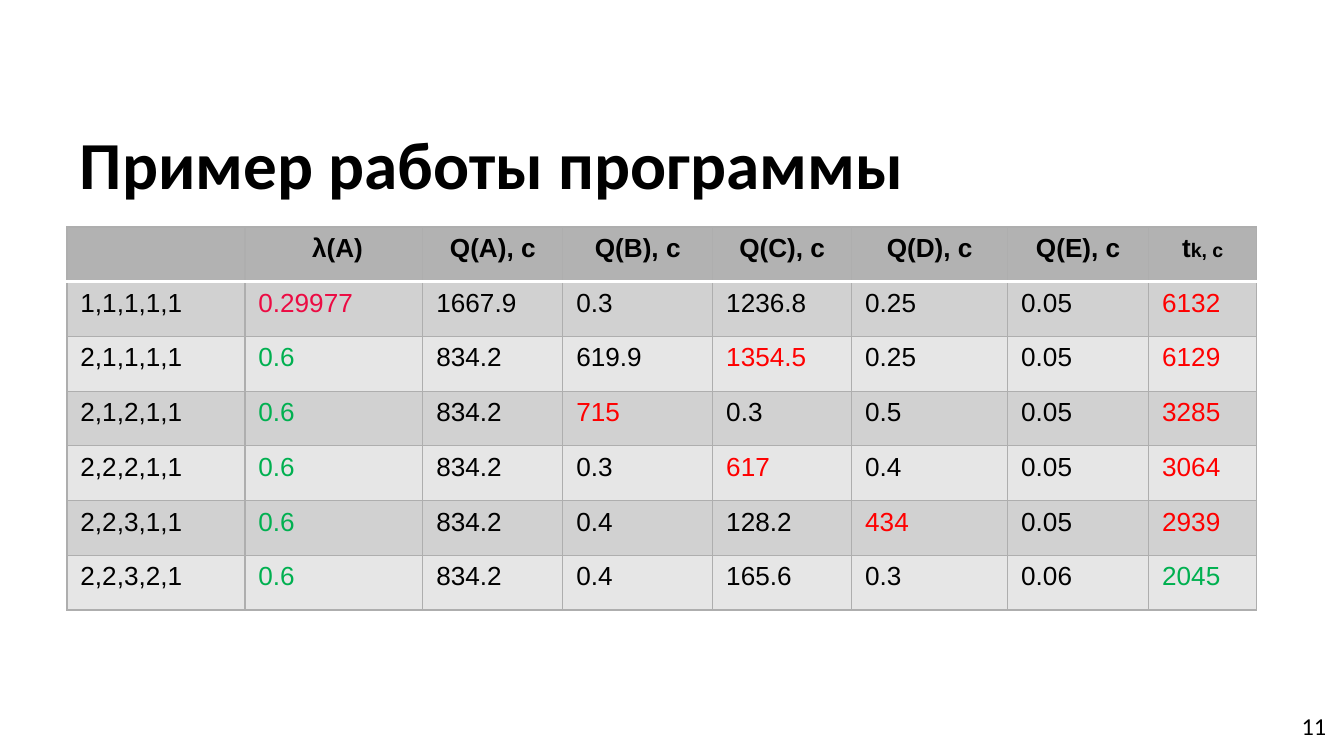
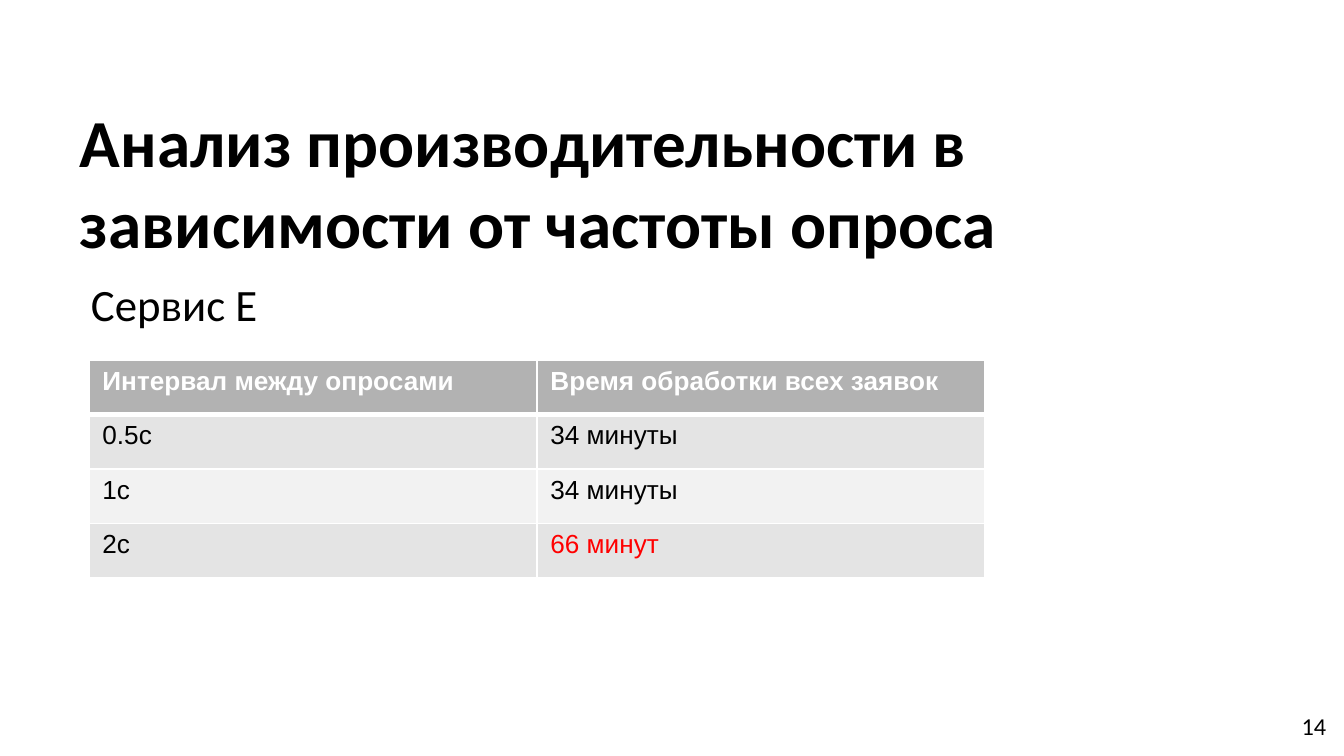
from dataclasses import dataclass

from lxml.etree import SubElement
from pptx import Presentation
from pptx.dml.color import RGBColor
from pptx.enum.text import MSO_ANCHOR, PP_ALIGN
from pptx.oxml.ns import qn
from pptx.util import Emu, Pt

EMU_PER_PX = 914400 / 134.4


@dataclass(frozen=True)
class Theme:
    text_font: str = "Calibri"
    table_font: str = "Arial"
    title_size: float = 36
    body_size: float = 24
    cell_size: float = 14
    subscript_size: float = 10.5
    number_size: float = 13
    black: str = "000000"
    white: str = "FFFFFF"
    red: str = "FF0000"
    crimson: str = "EC0B43"
    green: str = "00B050"
    header: str = "B2B2B2"
    grid: str = "AEAEAE"
    dark_bands: tuple = ("D1D1D1", "E6E6E6")
    light_bands: tuple = ("E4E4E4", "F2F2F2")


THEME = Theme()


@dataclass(frozen=True)
class TableStyle:
    bands: tuple
    grid: tuple
    rule: tuple
    header_color: str
    header_align: PP_ALIGN


RESULTS_STYLE = TableStyle(THEME.dark_bands, (THEME.grid, 0.75), (THEME.white, 2),
                           THEME.black, PP_ALIGN.CENTER)
POLLING_STYLE = TableStyle(THEME.light_bands, (THEME.white, 1), (THEME.white, 3),
                           THEME.white, PP_ALIGN.LEFT)


def px(value):
    return Emu(round(value * EMU_PER_PX))


def red(text):
    return text, THEME.red


def green(text):
    return text, THEME.green


def crimson(text):
    return text, THEME.crimson


def set_font(font, name, size, color, bold=False):
    font.name = name
    font.size = Pt(size)
    font.bold = bold
    font.color.rgb = RGBColor.from_string(color)


def add_text(slide, text, box, size, bold=False, pad=7, anchor=MSO_ANCHOR.TOP,
             align=PP_ALIGN.LEFT):
    tf = slide.shapes.add_textbox(*map(px, box)).text_frame
    tf.word_wrap = True
    tf.vertical_anchor = anchor
    tf.margin_left = tf.margin_right = px(13)
    tf.margin_top = tf.margin_bottom = px(pad)
    p = tf.paragraphs[0]
    p.text = text
    p.alignment = align
    set_font(p.font, THEME.text_font, size, THEME.black, bold)
    return p


def add_title(slide, text, top):
    add_text(slide, text, (67, top, 1210, 91), THEME.title_size, True,
             anchor=MSO_ANCHOR.MIDDLE)


def add_number(slide, number):
    add_text(slide, str(number), (1258, 698, 81, 58), THEME.number_size, pad=13,
             align=PP_ALIGN.RIGHT)


def add_subtitle(slide, text):
    p = add_text(slide, text, (67, 270, 1210, 422), THEME.body_size)
    p.space_before = Pt(4.8)
    p._p.get_or_add_pPr().set("marL", str(px(11)))


def set_border(cell, side, color, width):
    ln = SubElement(cell._tc.get_or_add_tcPr(), qn(f"a:ln{side}"), w=str(Pt(width)))
    fill = SubElement(ln, qn("a:solidFill"))
    SubElement(fill, qn("a:srgbClr"), val=color)


def style_cell(cell, row, style):
    top = style.rule if row == 1 else style.grid
    bottom = style.rule if row == 0 else style.grid
    for side, line in zip("LRTB", (style.grid, style.grid, top, bottom)):
        set_border(cell, side, *line)
    fill = THEME.header if row == 0 else style.bands[(row - 1) % 2]
    cell.fill.solid()
    cell.fill.fore_color.rgb = RGBColor.from_string(fill)


def fill_cell(cell, content, row, style):
    base = style.header_color if row == 0 else THEME.black
    text, color = content if isinstance(content, tuple) else (content, base)
    p = cell.text_frame.paragraphs[0]
    p.text = text
    p.alignment = style.header_align if row == 0 else PP_ALIGN.LEFT
    set_font(p.font, THEME.table_font, THEME.cell_size, color, row == 0)
    return p


def add_grid(slide, rows, left, top, height, widths, style):
    table = slide.shapes.add_table(len(rows), len(widths), px(left), px(top),
                                   px(sum(widths)), px(height)).table
    table.first_row = table.horz_banding = False
    for column, width in zip(table.columns, widths):
        column.width = px(width)
    for i, row in enumerate(rows):
        table.rows[i].height = px(height / len(rows))
        for j, content in enumerate(row):
            cell = table.cell(i, j)
            style_cell(cell, i, style)
            fill_cell(cell, content, i, style)
    return table


def new_slide(prs, title, top, number):
    slide = prs.slides.add_slide(prs.slide_layouts[6])
    add_title(slide, title, top)
    add_number(slide, number)
    return slide


def build_results(prs):
    slide = new_slide(prs, "Пример работы программы", 117, 11)
    rows = [
        ("", " λ(А)", "Q(A), c", "Q(B), c", "Q(C), c", "Q(D), c", "Q(E), c", "t"),
        ("1,1,1,1,1", crimson("0.29977"), "1667.9", "0.3", "1236.8", "0.25", "0.05",
         red("6132")),
        ("2,1,1,1,1", green("0.6"), "834.2", "619.9", red("1354.5"), "0.25", "0.05",
         red("6129")),
        ("2,1,2,1,1", green("0.6"), "834.2", red("715"), "0.3", "0.5", "0.05",
         red("3285")),
        ("2,2,2,1,1", green("0.6"), "834.2", "0.3", red("617"), "0.4", "0.05",
         red("3064")),
        ("2,2,3,1,1", green("0.6"), "834.2", "0.4", "128.2", red("434"), "0.05",
         red("2939")),
        ("2,2,3,2,1", green("0.6"), "834.2", "0.4", "165.6", "0.3", "0.06",
         green("2045")),
    ]
    widths = (178, 178, 140, 150, 139, 156, 141, 108)
    table = add_grid(slide, rows, 67, 227, 383, widths, RESULTS_STYLE)
    r = table.cell(0, 7).text_frame.paragraphs[0].add_run()
    r.text = "k, c"
    r.font.size = Pt(THEME.subscript_size)


def build_polling(prs):
    slide = new_slide(prs, "Анализ производительности в зависимости от частоты опроса ",
                      136, 14)
    add_subtitle(slide, "Сервис E")
    rows = [
        ("Интервал между опросами", "Время обработки всех заявок"),
        ("0.5c", "34 минуты"),
        ("1с", "34 минуты"),
        ("2с", red("66 минут")),
    ]
    add_grid(slide, rows, 89, 360, 218, (448, 448), POLLING_STYLE)


def main():
    prs = Presentation()
    prs.slide_width, prs.slide_height = px(1344), px(756)
    build_results(prs)
    build_polling(prs)
    prs.save("out.pptx")


main()
